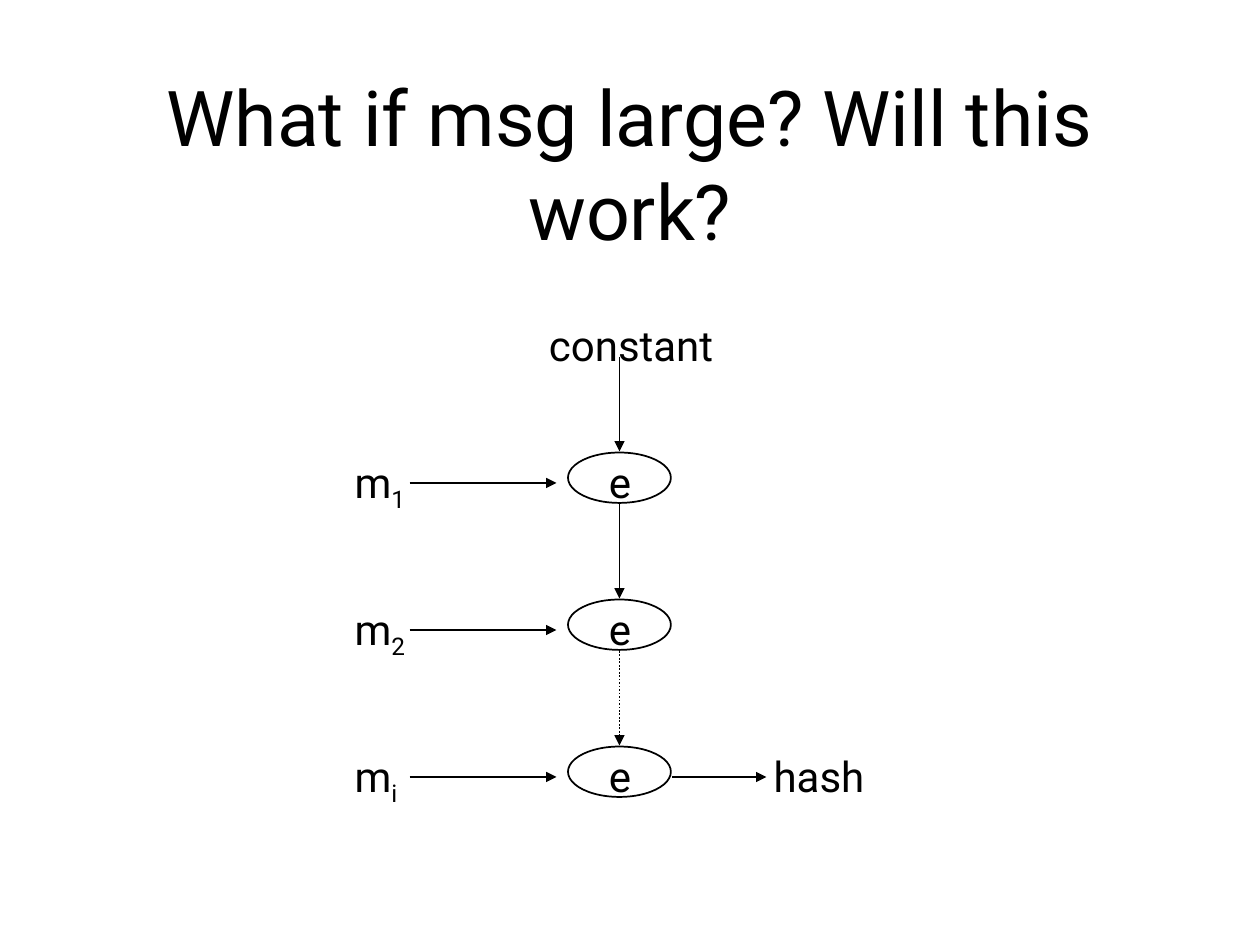
from lxml import etree
from pptx import Presentation
from pptx import util as u
from pptx.dml.color import RGBColor
from pptx.enum import dml, shapes, text
from pptx.oxml.ns import qn

COLUMNS, ROWS = 120, 90  # grid cells across and down the slide
STEP = 14                # rows between two stages of the chain
BLACK = RGBColor.from_string("000000")

deck = Presentation()
deck.slide_width, deck.slide_height = u.Inches(10), u.Inches(7.5)
page = deck.slides.add_slide(deck.slide_layouts[6])
cell = deck.slide_width / COLUMNS


def add_text(words, left, top, width, height, size=24, subscript=""):
    box = page.shapes.add_textbox(*(int(n * cell) for n in (left, top, width, height)))
    para = box.text_frame.paragraphs[0]
    para.line_spacing = 1.01
    para.font.size, para.font.name = u.Pt(size), "Roboto"
    para.font.color.rgb = BLACK
    para.add_run().text = words
    if subscript:
        span = para.add_run()
        span.text = subscript
        span.font._element.set("baseline", "-25000")
    box.text_frame.word_wrap = False
    return box


def add_arrow(x1, y1, x2, y2, dotted=False):
    ends = (int(n * cell) for n in (x1, y1, x2, y2))
    arrow = page.shapes.add_connector(shapes.MSO_CONNECTOR.STRAIGHT, *ends)
    arrow.line.color.rgb, arrow.line.width = BLACK, u.Pt(1)
    if dotted:
        arrow.line.dash_style = dml.MSO_LINE.ROUND_DOT
    etree.SubElement(arrow.line._get_or_add_ln(), qn("a:tailEnd"), type="triangle")
    etree.SubElement(arrow._element.spPr, qn("a:effectLst"))


# Title
title = add_text("What if msg large? Will this work?", 9, 5.8, 102, 19.3, size=44)
title.text_frame.word_wrap = True
title.text_frame.vertical_anchor = text.MSO_ANCHOR.MIDDLE
title.text_frame.paragraphs[0].alignment = text.PP_ALIGN.CENTER

# Starting value
add_text("constant", 51.1, 29.8, 18.7, 6.1)

# Chain of stages: arrow from above, ellipse, message block from the left
for stage, index in enumerate("12i"):
    top = 43 + stage * STEP
    add_arrow(59, top - 9, 59, top, dotted=index == "i")
    ellipse = page.shapes.add_shape(
        shapes.MSO_SHAPE.OVAL,
        *(int(n * cell) for n in (54.1, top + 0.1, 9.8, 4.8)))
    ellipse.shadow.inherit = False
    ellipse.fill.background()
    ellipse.line.color.rgb, ellipse.line.width = BLACK, u.Pt(1)
    add_text("e", 56.8, top - 0.2, 4.7, 6.1)
    add_text("m", 32.6, top - 0.2, 7.4, 6.7, subscript=index)
    add_arrow(39, top + 3, 53, top + 3)

# Result of the last stage
add_arrow(64, top + 3, 73, top + 3)
add_text("hash", 72.5, top - 0.2, 11.5, 6.1)

deck.save("out.pptx")
